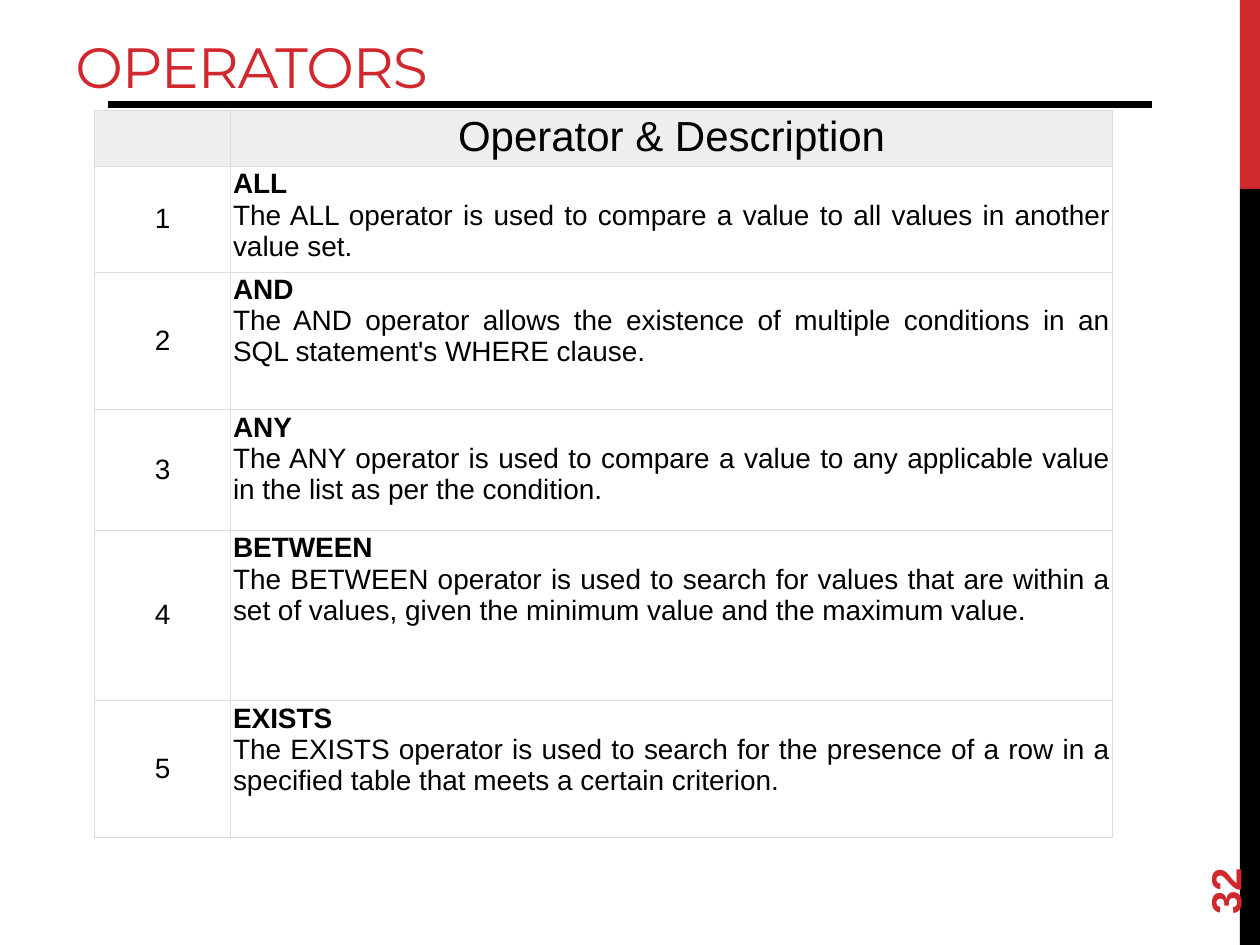
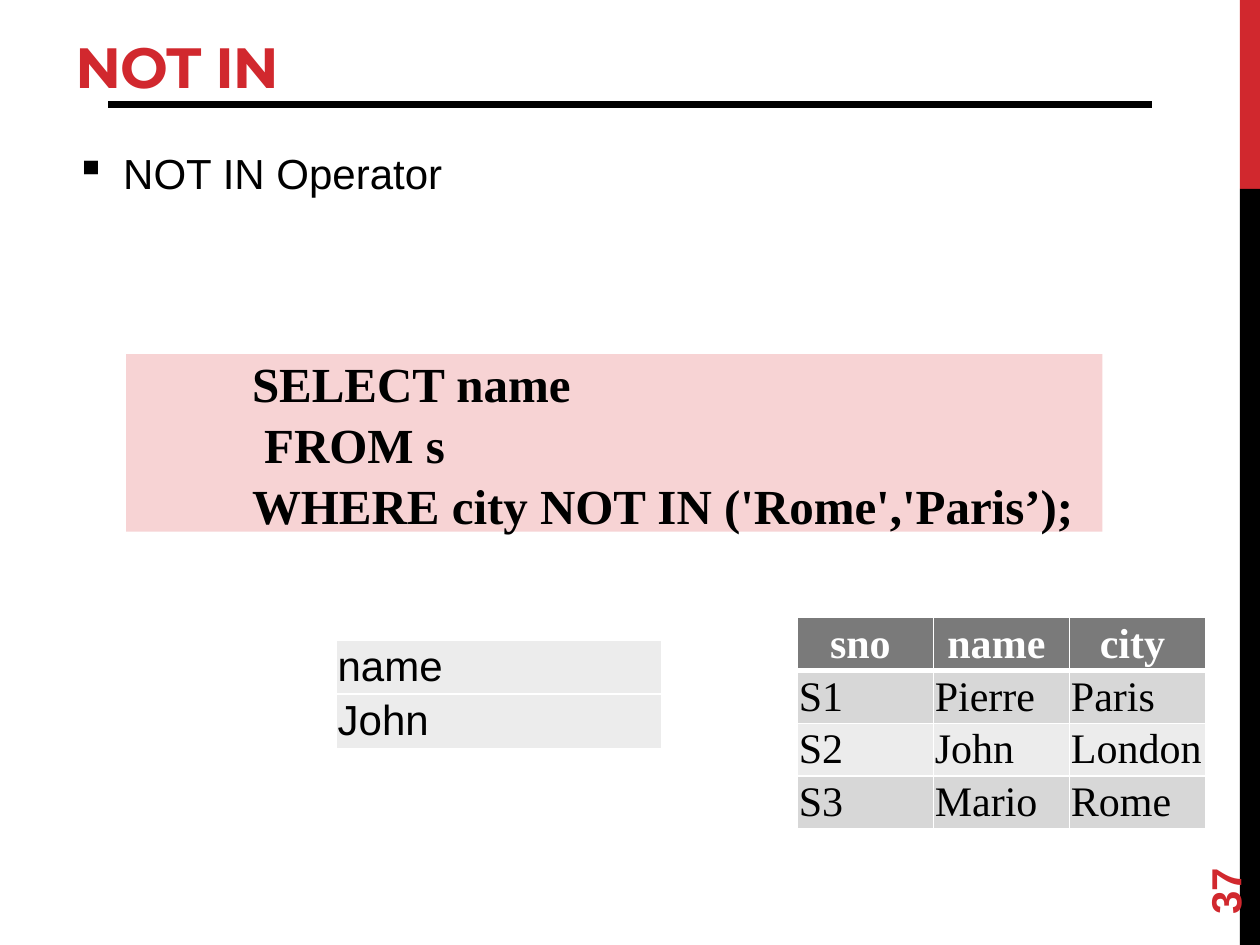
from dataclasses import dataclass, replace
from typing import Optional

from lxml.etree import SubElement
from pptx import Presentation
from pptx.dml.color import RGBColor
from pptx.enum.shapes import MSO_CONNECTOR, MSO_SHAPE
from pptx.enum.text import MSO_ANCHOR, PP_ALIGN
from pptx.oxml import parse_xml
from pptx.oxml.ns import nsdecls, qn
from pptx.util import Emu, Inches, Pt

RED = RGBColor(0xD1, 0x28, 0x2E)
BLACK = RGBColor(0x00, 0x00, 0x00)
WHITE = RGBColor(0xFF, 0xFF, 0xFF)
PINK = RGBColor(0xF7, 0xD3, 0xD4)
HEADER_GREY = RGBColor(0xEE, 0xEE, 0xEE)
BORDER_GREY = RGBColor(0xDD, 0xDD, 0xDD)
DARK_GREY = RGBColor(0x7A, 0x7A, 0x7A)
MID_GREY = RGBColor(0xD7, 0xD7, 0xD7)
LIGHT_GREY = RGBColor(0xEC, 0xEC, 0xEC)


@dataclass(frozen=True)
class TextStyle:
    size: float
    name: str = "Arial"
    color: RGBColor = BLACK
    bold: bool = False
    alignment: PP_ALIGN = PP_ALIGN.LEFT


@dataclass(frozen=True)
class Cell:
    lines: list[tuple[str, TextStyle]]
    fill: Optional[RGBColor] = None
    anchor: MSO_ANCHOR = MSO_ANCHOR.MIDDLE


@dataclass(frozen=True)
class TableLayout:
    left: float
    top: float
    column_widths: list[float]
    row_heights: list[float]
    margin: float
    border_color: RGBColor
    border_width: float
    header_rule: float


TITLE = TextStyle(32.4, "Montserrat", RED)
SLIDE_NUMBER = TextStyle(24, color=RED, bold=True)
BODY = TextStyle(24)
COLUMN_TITLE = replace(BODY, alignment=PP_ALIGN.CENTER)
ROW_NUMBER = TextStyle(16, alignment=PP_ALIGN.CENTER)
DESCRIPTION = TextStyle(16, alignment=PP_ALIGN.JUSTIFY)
OPERATOR = replace(DESCRIPTION, bold=True)
CODE = TextStyle(28, "Times New Roman", bold=True, alignment=PP_ALIGN.JUSTIFY)
DATA = TextStyle(24, "Times New Roman")
DATA_HEADER = replace(DATA, color=WHITE, bold=True, alignment=PP_ALIGN.CENTER)

OPERATORS = [
    ("ALL", "The ALL operator is used to compare a value to all values in another value set."),
    ("AND", "The AND operator allows the existence of multiple conditions in an SQL statement's WHERE clause."),
    ("ANY", "The ANY operator is used to compare a value to any applicable value in the list as per the condition."),
    ("BETWEEN", "The BETWEEN operator is used to search for values that are within a set of values, "
                "given the minimum value and the maximum value."),
    ("EXISTS", "The EXISTS operator is used to search for the presence of a row in a specified table "
               "that meets a certain criterion."),
]
OPERATOR_LAYOUT = TableLayout(0.75, 0.88, [1.08, 7], [0.41, 0.83, 1.09, 0.96, 1.35, 1.09],
                              0.02, BORDER_GREY, 0.5, 0.5)

QUERY = ["SELECT name", " FROM s", "WHERE city NOT IN ('Rome','Paris’);"]
RESULT = ["name", "John"]
RESULT_LAYOUT = TableLayout(2.67, 5.08, [2.58], [0.43] * 2, 0.01, WHITE, 1, 1)
SUPPLIER_HEADER = ["sno ", "name ", "city "]
SUPPLIERS = [["S1", "Pierre", "Paris"], ["S2", "John", "London"], ["S3", "Mario", "Rome"]]
SUPPLIER_LAYOUT = TableLayout(6.33, 4.9, [1.08] * 3, [0.42] * 4, 0.01, WHITE, 1, 3)


def write_lines(frame, lines: list[tuple[str, TextStyle]]) -> None:
    for index, (text, style) in enumerate(lines):
        paragraph = frame.add_paragraph() if index else frame.paragraphs[0]
        paragraph.alignment = style.alignment
        run = paragraph.add_run()
        run.text = text
        run.font.color.rgb = style.color
        for attribute in ("size", "name", "bold"):
            value = getattr(style, attribute)
            setattr(run.font, attribute, Pt(value) if attribute == "size" else value)


def add_text(slide, box: tuple, text: str, style: TextStyle, anchor: MSO_ANCHOR):
    shape = slide.shapes.add_textbox(*map(Inches, box))
    frame = shape.text_frame
    frame.word_wrap = True
    frame.vertical_anchor = anchor
    write_lines(frame, [(text, style)])
    return shape


def add_rectangle(slide, box: tuple, color: RGBColor):
    shape = slide.shapes.add_shape(MSO_SHAPE.RECTANGLE, *map(Inches, box))
    shape.shadow.inherit = False
    shape.fill.solid()
    shape.fill.fore_color.rgb = color
    shape.line.fill.background()
    return shape


def add_base_slide(presentation, title: str, number: int, bold_title: bool = False):
    """Add a slide with the side band, the title, its rule and the slide number."""
    slide = presentation.slides.add_slide(presentation.slide_layouts[6])
    add_rectangle(slide, (9.84, 0, 0.16, 1.5), RED)
    add_rectangle(slide, (9.84, 1.5, 0.16, 6), BLACK)
    rule = slide.shapes.add_connector(
        MSO_CONNECTOR.STRAIGHT, Inches(0.86), Inches(0.83), Inches(9.14), Inches(0.83))
    rule.line.color.rgb = BLACK
    rule.line.width = Pt(4)
    SubElement(rule._element.spPr, qn("a:effectLst"))

    title_box = add_text(slide, (0.5, 0.17, 9.33, 0.67), title,
                         replace(TITLE, bold=bold_title), MSO_ANCHOR.BOTTOM)
    run = title_box.text_frame.paragraphs[0].runs[0]
    run._r.get_or_add_rPr().set("spc", "-60")

    number_box = add_text(slide, (9, 6.44, 1.44, 0.4), str(number), SLIDE_NUMBER, MSO_ANCHOR.MIDDLE)
    number_box.rotation = 270
    return slide


def set_borders(cell, color: RGBColor, widths: dict[str, float]) -> None:
    properties = cell._tc.get_or_add_tcPr()
    for index, (edge, width) in enumerate(widths.items()):
        properties.insert(index, parse_xml(
            f'<a:{edge} {nsdecls("a")} w="{Pt(width)}"><a:solidFill>'
            f'<a:srgbClr val="{color}"/></a:solidFill></a:{edge}>'))


def add_table(slide, layout: TableLayout, rows: list[list[Cell]]) -> None:
    table = slide.shapes.add_table(
        len(rows), len(layout.column_widths), Inches(layout.left), Inches(layout.top),
        Inches(sum(layout.column_widths)), Inches(sum(layout.row_heights))).table
    table.first_row = table.horz_banding = False
    for column, width in zip(table.columns, layout.column_widths):
        column.width = Inches(width)
    for row, height in zip(table.rows, layout.row_heights):
        row.height = Inches(height)

    for row_index, row in enumerate(rows):
        for column_index, content in enumerate(row):
            cell = table.cell(row_index, column_index)
            for side in ("left", "right", "top", "bottom"):
                setattr(cell, f"margin_{side}", Inches(layout.margin))
            cell.vertical_anchor = content.anchor
            write_lines(cell.text_frame, content.lines)
            if content.fill is None:
                cell.fill.background()
            else:
                cell.fill.solid()
                cell.fill.fore_color.rgb = content.fill
            widths = dict.fromkeys(("lnL", "lnR", "lnT", "lnB"), layout.border_width)
            if row_index < 2:
                widths["lnT" if row_index else "lnB"] = layout.header_rule
            set_borders(cell, layout.border_color, widths)


def add_bullet(paragraph, indent: Emu) -> None:
    properties = paragraph._p.get_or_add_pPr()
    properties.set("marL", str(indent))
    properties.set("indent", str(-indent))
    SubElement(properties, qn("a:buChar"), char="▪")


def build_operators_slide(presentation) -> None:
    slide = add_base_slide(presentation, "OPERATORS", 32)
    rows = [[Cell([], HEADER_GREY),
             Cell([("Operator & Description", COLUMN_TITLE)], HEADER_GREY, MSO_ANCHOR.TOP)]]
    for number, (operator, description) in enumerate(OPERATORS, start=1):
        rows.append([
            Cell([(str(number), ROW_NUMBER)]),
            Cell([(operator, OPERATOR), (description, DESCRIPTION)], anchor=MSO_ANCHOR.TOP),
        ])
    add_table(slide, OPERATOR_LAYOUT, rows)


def build_not_in_slide(presentation) -> None:
    slide = add_base_slide(presentation, "NOT IN", 37, bold_title=True)
    body = add_text(slide, (0.5, 1.12, 9, 5.58), "NOT IN Operator", BODY, MSO_ANCHOR.TOP)
    add_bullet(body.text_frame.paragraphs[0], Inches(0.38))

    query_box = add_rectangle(slide, (1, 2.81, 7.75, 1.41), PINK)
    frame = query_box.text_frame
    frame.word_wrap = True
    frame.vertical_anchor = MSO_ANCHOR.MIDDLE
    frame.margin_left = Inches(1)
    frame.margin_right = frame.margin_top = frame.margin_bottom = 0
    write_lines(frame, [(line, CODE) for line in QUERY])
    for paragraph in frame.paragraphs:
        paragraph.line_spacing = 1.04

    add_table(slide, RESULT_LAYOUT, [[Cell([(text, BODY)], LIGHT_GREY)] for text in RESULT])
    rows = [[Cell([(text, DATA_HEADER)], DARK_GREY) for text in SUPPLIER_HEADER]]
    for index, supplier in enumerate(SUPPLIERS):
        fill = LIGHT_GREY if index % 2 else MID_GREY
        rows.append([Cell([(text, DATA)], fill) for text in supplier])
    add_table(slide, SUPPLIER_LAYOUT, rows)


def main() -> None:
    presentation = Presentation()
    presentation.slide_width = Inches(10)
    presentation.slide_height = Inches(7.5)
    build_operators_slide(presentation)
    build_not_in_slide(presentation)
    presentation.save("out.pptx")


if __name__ == "__main__":
    main()
